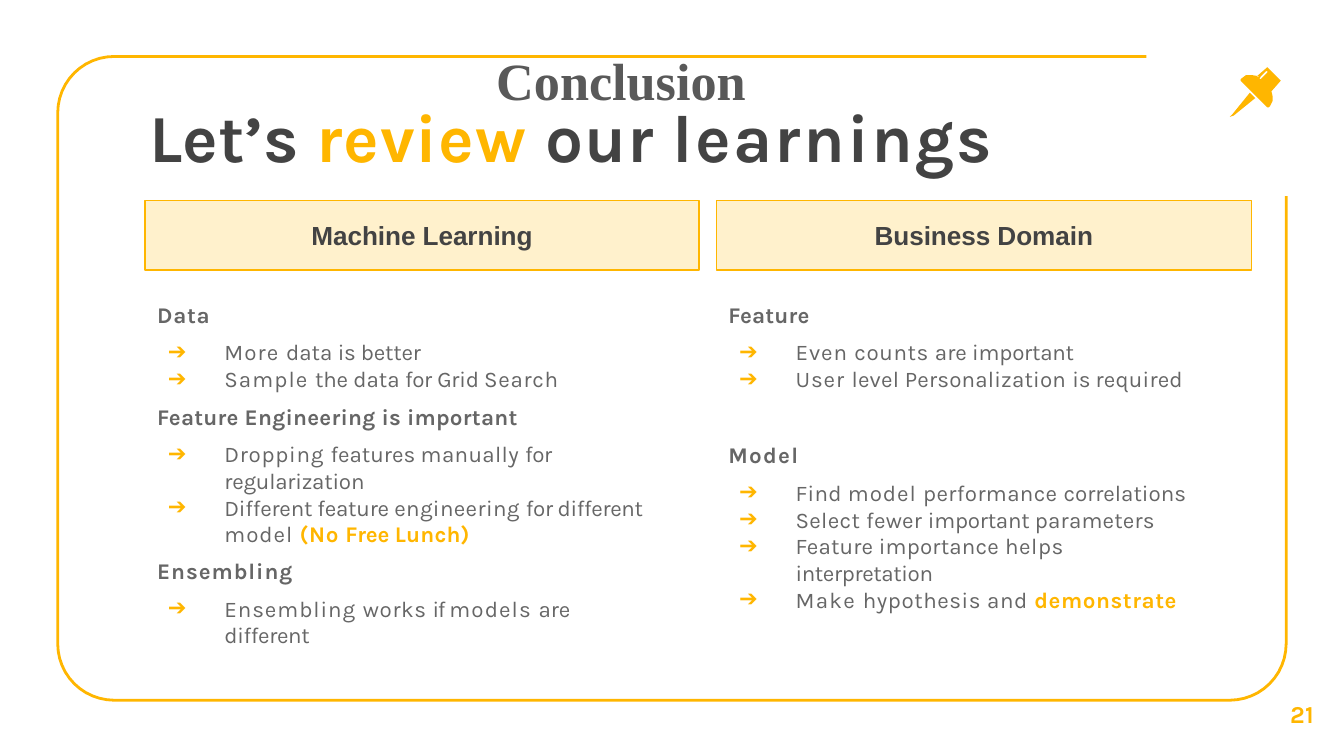
from math import cos, radians, sin

from lxml.etree import SubElement
from pptx import Presentation
from pptx.dml.color import RGBColor
from pptx.enum.shapes import MSO_SHAPE as Shape
from pptx.enum.text import MSO_ANCHOR as Anchor, PP_ALIGN as Align
from pptx.oxml.ns import qn
from pptx.util import Inches, Pt

COLORS = {
    "amber": "FFB600",
    "cream": "FFF1CC",
    "dark": "434343",
    "body": "666666",
    "heading": "595959",
}


def arc(cx, cy, radius, start, steps=12):
    """Points of a quarter turn, counter-clockwise on the slide."""
    angles = [radians(start - 90 * i / steps) for i in range(steps + 1)]
    return [(cx + radius * cos(a), cy + radius * sin(a)) for a in angles]


class SlideKit:
    def __init__(self, slide, font="Karla"):
        self.slide = slide
        self.font = font

    def color(self, name):
        return RGBColor.from_string(COLORS[name])

    def outline(self, contours, fill=None, line=None):
        """Freeform of one or more contours in inches, closed when filled."""
        first, *others = [[(Inches(x), Inches(y)) for x, y in contour]
                          for contour in contours]
        builder = self.slide.shapes.build_freeform(*first[0])
        builder.add_line_segments(first[1:], close=bool(fill))
        for contour in others:
            builder.move_to(*contour[0])
            builder.add_line_segments(contour[1:], close=bool(fill))
        self.paint(builder.convert_to_shape(), fill, line)

    def paint(self, shape, fill=None, line=None):
        shape.shadow.inherit = False
        if fill:
            shape.fill.solid()
            shape.fill.fore_color.rgb = self.color(fill)
        else:
            shape.fill.background()
        if line:
            shape.line.color.rgb = self.color(line[0])
            shape.line.width = Pt(line[1])
        else:
            shape.line.fill.background()

    def run(self, paragraph, text, size, color, bold=False, spacing=0, font=None):
        run = paragraph.add_run()
        run.text = text
        run.font.name = font or self.font
        run.font.size = Pt(size)
        run.font.bold = bold
        run.font.color.rgb = self.color(color)
        if spacing:
            run.font._element.set("spc", str(round(spacing * 100)))

    def text_box(self, left, top, width, height, inset_top=0.0):
        box = self.slide.shapes.add_textbox(*map(Inches, (left, top, width, height)))
        frame = box.text_frame
        frame.word_wrap = True
        frame.margin_left = frame.margin_right = frame.margin_bottom = 0
        frame.margin_top = Inches(inset_top)
        return frame

    def label(self, box, runs, size, inset_top=0.01, align=Align.LEFT, font=None):
        """Single bold line; runs are (text, color, letter spacing)."""
        paragraph = self.text_box(*box, inset_top).paragraphs[0]
        paragraph.alignment = align
        for text, color, spacing in runs:
            self.run(paragraph, text, size, color, True, spacing, font)

    def banner(self, left, width, text):
        shape = self.slide.shapes.add_shape(
            Shape.RECTANGLE, Inches(left), Inches(1.49), Inches(width), Inches(0.52))
        self.paint(shape, "cream", ("amber", 0.75))
        shape.text_frame.vertical_anchor = Anchor.MIDDLE
        paragraph = shape.text_frame.paragraphs[0]
        paragraph.alignment = Align.CENTER
        self.run(paragraph, text, 14, "dark", True, -0.05, "Arial")

    def bullet(self, paragraph, right_indent):
        props = paragraph._p.get_or_add_pPr()
        props.set("marL", str(Inches(0.51)))
        props.set("indent", str(Inches(-0.42)))
        props.set("marR", str(Inches(right_indent)))
        tint = SubElement(props, qn("a:buClr"))
        SubElement(tint, qn("a:srgbClr"), val=COLORS["amber"])
        SubElement(props, qn("a:buFont"), typeface=self.font)
        SubElement(props, qn("a:buChar"), char="➔")
        paragraph.line_spacing = Pt(14.3)

    def takeaways(self, box, sections):
        """Sections are (heading, letter spacing, space before, bullets)."""
        frame = self.text_box(*box, inset_top=0.1)
        for number, (heading, spacing, before, bullets) in enumerate(sections):
            title = frame.add_paragraph() if number else frame.paragraphs[0]
            if number:
                title.space_before = Pt(before)
            title._p.get_or_add_pPr().set("marL", str(Inches(0.01)))
            self.run(title, heading, 12, "body", True, spacing)
            for position, (right_indent, words, accent) in enumerate(bullets):
                item = frame.add_paragraph()
                self.bullet(item, right_indent)
                item.space_before = Pt(0 if position else 5.8)
                for text, gap in words:
                    self.run(item, text, 12, "body", False, gap)
                for text, gap in accent:
                    self.run(item, text, 12, "amber", True, gap)


# Takeaways: each bullet is (right indent, words, accented words)
MACHINE_LEARNING = [
    ("Data", 0.4, 0, [
        (0, [("More ", 0.6), ("data ", 0), ("is better", -0.1)], []),
        (0, [("Sample ", 0.6), ("the ", -0.1), ("data ", 0), ("for ", -0.2),
             ("Grid ", -0.1), ("Search", 0.4)], []),
    ]),
    ("Feature Engineering is important", 0.13, 5.8, [
        (0.5, [("Dropping ", 0.4), ("features ", 0), ("manually ", 0.2),
               ("for ", -0.2), ("regularization", -0.1)], []),
        (0, [("Different feature ", -0.1), ("engineering ", 0.2),
             ("for different ", -0.2), ("model ", 0.5)],
         [("(No ", 0.3), ("Free ", -0.1), ("Lunch)", 0.1)]),
    ]),
    ("Ensembling", 0.5, 5.3, [
        (0.5, [("Ensembling ", 0.5), ("works ", 0.3), ("if ", -0.8),
               ("models ", 0.6), ("are ", 0), ("different", -0.2)], []),
    ]),
]
BUSINESS_DOMAIN = [
    ("Feature", 0.1, 0, [
        (0, [("Even ", 0.5), ("counts ", 0.3), ("are ", 0), ("important", -0.1)], []),
        (0, [("User ", 0.5), ("level Personalization ", 0.1), ("is ", -0.1),
             ("required", 0.1)], []),
    ]),
    ("Model", 0.7, 26.5, [
        (0, [("Find ", 0.2), ("model ", 0.5), ("performance ", 0.2),
             ("correlations", 0)], []),
        (0, [("Select ", 0.2), ("fewer ", 0.1), ("important ", -0.1),
             ("parameters", 0.1)], []),
        (0.5, [("Feature importance ", 0.1), ("helps ", 0.3),
               ("interpretation", -0.2)], []),
        (0, [("Make ", 0.7), ("hypothesis and ", 0.3)], [("demonstrate", 0.3)]),
    ]),
]

# Push pin: needle, clip, collar and body
PIN = [
    [(9.15, 0.87), (9.17, 0.85), (9.3, 0.69), (9.34, 0.73), (9.18, 0.86)],
    [(9.35, 0.57), (9.43, 0.5), (9.46, 0.53), (9.42, 0.53), (9.38, 0.57)],
    [(9.38, 0.59), (9.43, 0.54), (9.43, 0.53), (9.46, 0.53), (9.52, 0.59)],
    [(9.23, 0.59), (9.27, 0.56), (9.32, 0.56), (9.38, 0.57), (9.37, 0.59),
     (9.52, 0.59), (9.53, 0.6), (9.46, 0.68), (9.47, 0.72), (9.47, 0.75),
     (9.45, 0.79), (9.44, 0.8), (9.43, 0.8), (9.23, 0.6)],
]


def main():
    deck = Presentation()
    deck.slide_width = Inches(10)
    deck.slide_height = deck.slide_width * 9 // 16
    kit = SlideKit(deck.slides.add_slide(deck.slide_layouts[6]))

    # Rounded frame, open at the top right corner
    left, top, right, bottom, radius = 0.43, 0.42, 9.57, 5.21, 0.42
    frame = [(8.53, top)]
    frame += arc(left + radius, top + radius, radius, 270)
    frame += arc(left + radius, bottom - radius, radius, 180)
    frame += arc(right - radius, bottom - radius, radius, 90)
    frame.append((right, 1.46))
    kit.outline([frame], line=("amber", 1.5))

    # Titles, pin and page number
    kit.label((1.11, 0.7, 6.29, 0.63),
              [("Let’s ", "dark", 0.1), ("review ", "amber", 0.5),
               ("our ", "dark", 0.5), ("learnings", "dark", 1.2)], 36)
    kit.label((0.83, 0.31, 7.58, 0.75), [("Conclusion", "heading", 0)], 28, 0.05,
              Align.CENTER, "Times New Roman")
    kit.outline(PIN, fill="amber")
    kit.label((9.6, 5.19, 0.24, 0.23), [("21", "amber", 0.1)], 13)

    # Two columns
    kit.banner(1.08, 4.12, "Machine Learning")
    kit.banner(5.33, 3.98, "Business Domain")
    kit.takeaways((1.16, 2.14, 3.98, 2.31), MACHINE_LEARNING)
    kit.takeaways((5.41, 2.14, 3.56, 2.23), BUSINESS_DOMAIN)

    deck.save("out.pptx")


if __name__ == "__main__":
    main()
